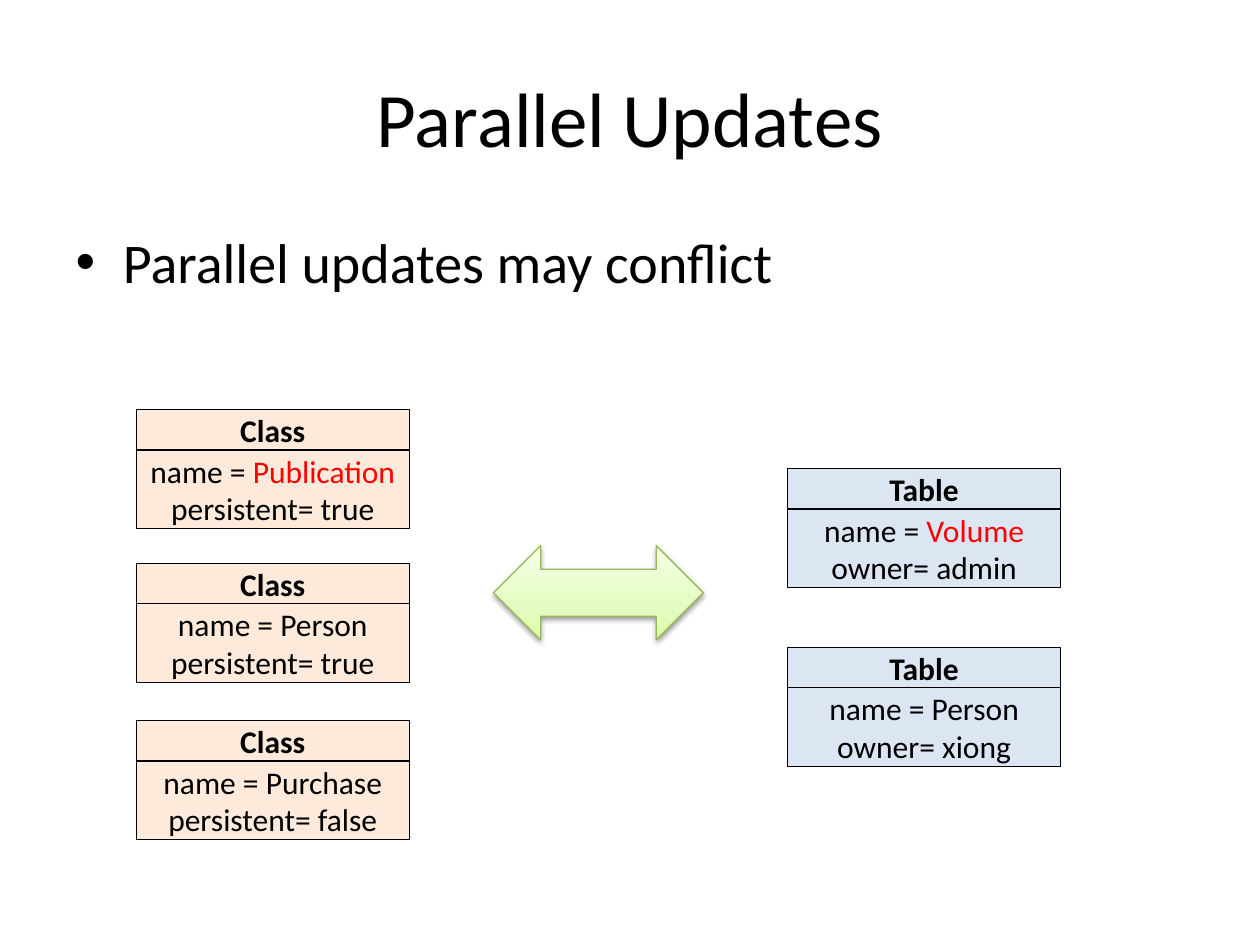
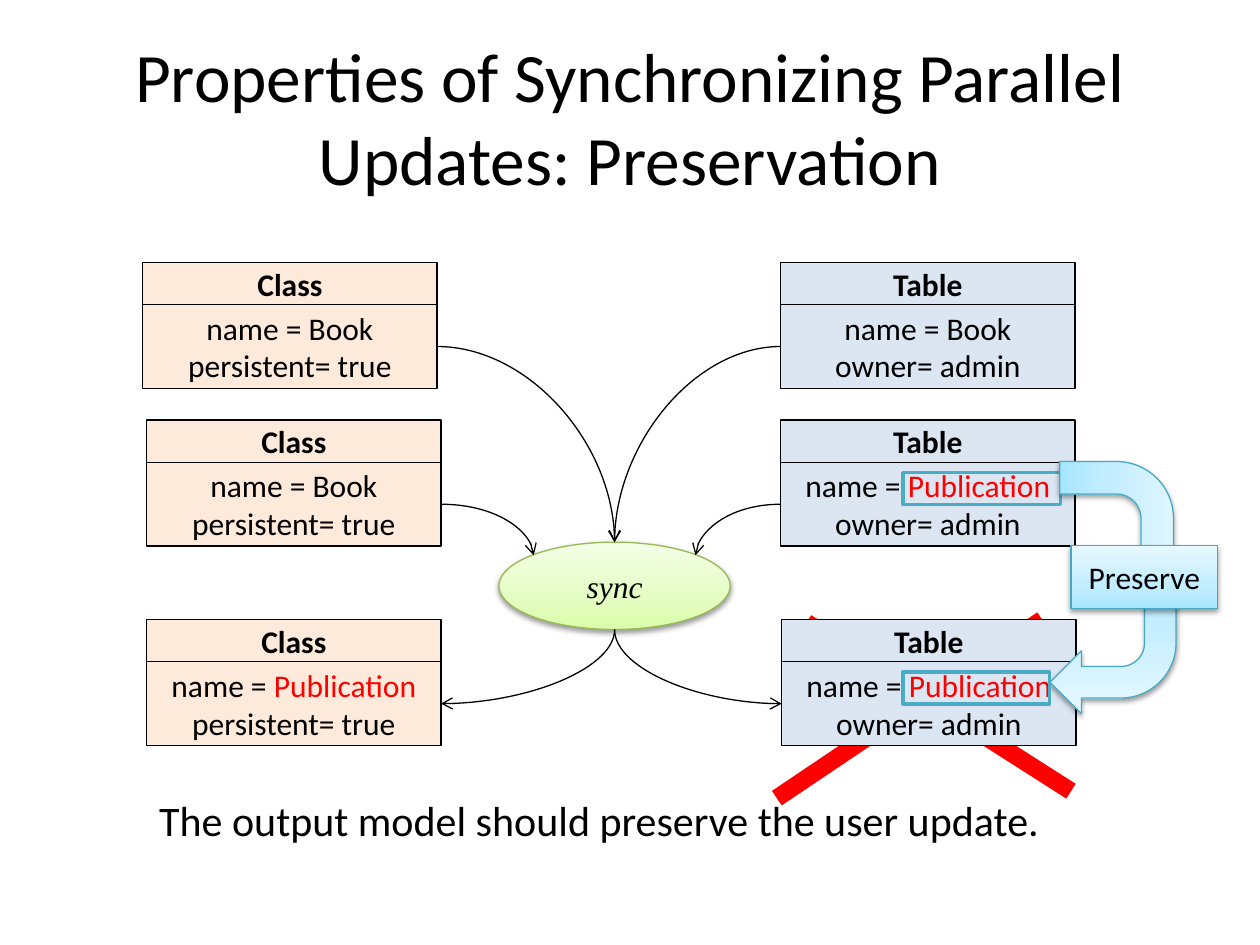
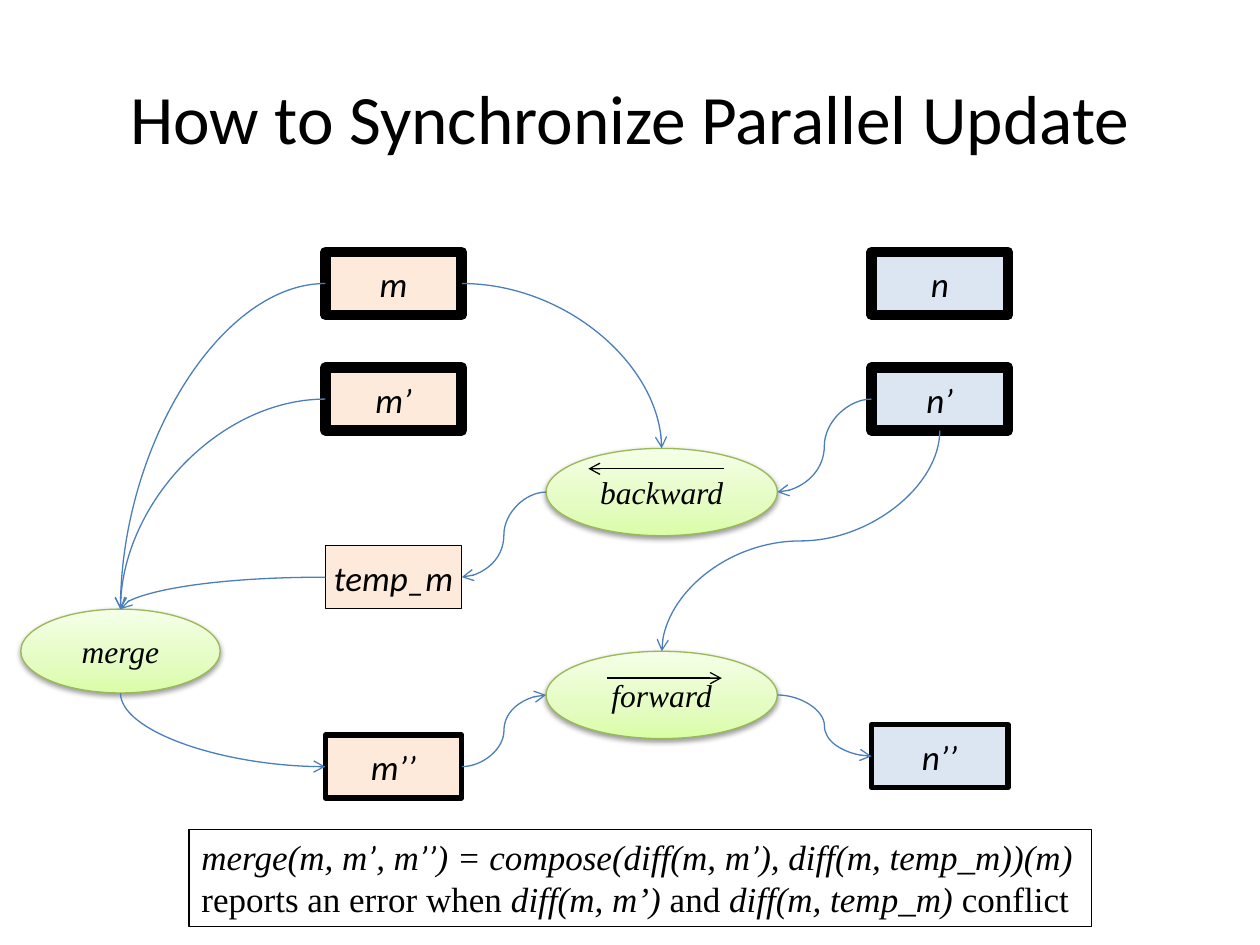
from dataclasses import dataclass
from typing import NamedTuple

from lxml import etree
from pptx import Presentation
from pptx import util as u
from pptx.dml.color import RGBColor
from pptx.enum import shapes, text
from pptx.oxml import ns

BLACK = RGBColor(0x00, 0x00, 0x00)
RED = RGBColor(0xFF, 0x00, 0x00)
PEACH = RGBColor(0xFD, 0xEA, 0xDA)
PALE_BLUE = RGBColor(0xDC, 0xE6, 0xF2)
FLOW_BLUE = RGBColor(0x4B, 0x7E, 0xBC)
FRAME_BLUE = RGBColor(0x4B, 0xAC, 0xC6)
SANS = "Calibri"
SERIF = "Times New Roman"
KIND = shapes.MSO_SHAPE
CURVE = shapes.MSO_CONNECTOR.CURVE
STRAIGHT = shapes.MSO_CONNECTOR.STRAIGHT
CENTER = text.PP_ALIGN.CENTER
LEFT = text.PP_ALIGN.LEFT


class Box(NamedTuple):
    left: float
    top: float
    width: float
    height: float

    def lengths(self):
        return [u.Cm(value) for value in self]


class Point(NamedTuple):
    x: int
    y: int


class Span(NamedTuple):
    text: str
    size: float = 18
    font: str = SANS
    color: RGBColor = BLACK
    bold: bool = False
    italic: bool = False


class Glow(NamedTuple):
    stops: tuple
    line: RGBColor


class Entity(NamedTuple):
    title: str
    attribute: str
    fill: RGBColor


class CardSize(NamedTuple):
    width: float
    head: float
    body: float


@dataclass
class Card:
    entity: Entity
    left: float
    top: float
    name: str
    value: str
    changed: bool = False


GREEN_GLOW = Glow(((0, "DAFDA7"), (35, "E4FCC2"), (100, "F5FFE7")), RGBColor(0x98, 0xB9, 0x55))
BLUE_GLOW = Glow(((0, "A7E6FF"), (35, "C1EDFF"), (100, "E7F8FF")), RGBColor(0x46, 0xAA, 0xC5))
CLASS = Entity("Class", "persistent", PEACH)
TABLE = Entity("Table", "owner", PALE_BLUE)


def cm_point(x: float, y: float) -> Point:
    return Point(u.Cm(x), u.Cm(y))


def site(shape, across: float, down: float) -> Point:
    return Point(int(shape.left + shape.width * across), int(shape.top + shape.height * down))


def child(parent, tag: str, **attributes):
    return etree.SubElement(parent, ns.qn(tag), attributes)


def style_span(run, span: Span) -> None:
    run.font.size = u.Pt(span.size)
    run.font.name = span.font
    run.font.color.rgb = span.color
    run.font.bold = span.bold
    run.font.italic = span.italic


def write(frame, lines: list, align=CENTER, wrap: bool = False) -> None:
    frame.word_wrap = wrap
    for index, line in enumerate(lines):
        para = frame.add_paragraph() if index else frame.paragraphs[0]
        para.alignment = align
        for span in line:
            run = para.add_run()
            run.text = span.text
            style_span(run, span)


def add_page(deck, layout: int, title: str, size: float):
    page = deck.slides.add_slide(deck.slide_layouts[layout])
    heading = page.shapes.title
    heading.left, heading.top, heading.width, heading.height = Box(1.27, 0.76, 22.86, 3.18).lengths()
    frame = heading.text_frame
    frame.text = title
    frame.auto_size = text.MSO_AUTO_SIZE.NONE
    frame.vertical_anchor = text.MSO_ANCHOR.MIDDLE
    frame.paragraphs[0].alignment = CENTER
    style_span(frame.paragraphs[0].runs[0], Span(title, size))
    return page


def add_block(owner, box: Box, fill=None, line=BLACK, weight: float = 0.75, lines=(), kind=KIND.RECTANGLE):
    shape = owner.shapes.add_shape(kind, *box.lengths())
    shape.shadow.inherit = False
    if fill is None:
        shape.fill.background()
    else:
        shape.fill.solid()
        shape.fill.fore_color.rgb = fill
    shape.line.color.rgb = line
    shape.line.width = u.Pt(weight)
    shape.text_frame.vertical_anchor = text.MSO_ANCHOR.MIDDLE
    write(shape.text_frame, lines)
    return shape


def add_glowing(page, kind, box: Box, glow: Glow, lines=()):
    shape = add_block(page, box, line=glow.line, lines=lines, kind=kind)
    shape.fill.gradient()
    shape.fill.gradient_angle = 90
    properties = shape.element.spPr
    stops = properties.find(".//" + ns.qn("a:gsLst"))
    for stop in list(stops):
        stops.remove(stop)
    for position, color in glow.stops:
        child(child(stops, "a:gs", pos=str(position * 1000)), "a:srgbClr", val=color)
    effects = properties.find(ns.qn("a:effectLst"))
    shadow = child(effects, "a:outerShdw", blurRad="40000", dist="20000", dir="5400000", rotWithShape="0")
    child(child(shadow, "a:srgbClr", val="000000"), "a:alpha", val="38000")
    return shape


def add_bent_arrow(page, box: Box, rotation: float = 0) -> None:
    arrow = add_glowing(page, KIND.BENT_ARROW, box, BLUE_GLOW)
    arrow.rotation = rotation
    frame = arrow.element.spPr.find(ns.qn("a:xfrm"))
    frame.set("flipH", "1")
    frame.set("flipV", "1")


def add_operation(page, box: Box, name: str):
    return add_glowing(page, KIND.OVAL, box, GREEN_GLOW, [[Span(name, font=SERIF, italic=True)]])


def add_card(page, card: Card, size: CardSize):
    group = page.shapes.add_group_shape()
    entity = card.entity
    add_block(group, Box(card.left, card.top, size.width, size.head), entity.fill,
              lines=[[Span(entity.title, bold=True)]])
    name = [Span("name = "), Span(card.name, color=RED)] if card.changed else [Span(f"name = {card.name}")]
    return add_block(group, Box(card.left, card.top + size.head, size.width, size.body), entity.fill,
                     lines=[name, [Span(f"{entity.attribute}= {card.value}")]])


def add_line(page, start: Point, end: Point, color=BLACK, weight: float = 0.75, kind=STRAIGHT, arrow: bool = True):
    line = page.shapes.add_connector(kind, *start, *end)
    line.line.color.rgb = color
    line.line.width = u.Pt(weight)
    properties = line.element.spPr
    if arrow:
        child(properties.find(ns.qn("a:ln")), "a:tailEnd", type="arrow")
    child(properties, "a:effectLst")
    return line


def add_curve(page, start: Point, end: Point, color=BLACK, bends: int = 1, downward: bool = False) -> None:
    if downward:
        middle_x, middle_y = (start.x + end.x) // 2, (start.y + end.y) // 2
        half_x, half_y = (end.x - start.x) // 2, (end.y - start.y) // 2
        start = Point(middle_x - half_y, middle_y + half_x)
        end = Point(middle_x + half_y, middle_y - half_x)
    properties = add_line(page, start, end, color, kind=CURVE).element.spPr
    properties.find(ns.qn("a:prstGeom")).set("prst", f"curvedConnector{bends + 1}")
    if downward:
        properties.find(ns.qn("a:xfrm")).set("rot", "5400000")


def build_conflict(deck) -> None:
    page = add_page(deck, 1, "Parallel Updates", 44)
    body = page.placeholders[1]
    body.left, body.top, body.width, body.height = Box(1.27, 4.45, 22.86, 12.57).lengths()
    body.text_frame.text = "Parallel updates may conflict"
    style_span(body.text_frame.paragraphs[0].runs[0], Span("", 32))

    size = CardSize(5.5, 0.81, 1.59)
    for card in (
        Card(CLASS, 2.75, 8.26, "Publication", "true", True),
        Card(CLASS, 2.75, 11.36, "Person", "true"),
        Card(CLASS, 2.75, 14.53, "Purchase", "false"),
        Card(TABLE, 15.88, 9.45, "Volume", "admin", True),
        Card(TABLE, 15.88, 13.05, "Person", "xiong"),
    ):
        add_card(page, card, size)
    add_glowing(page, KIND.LEFT_RIGHT_ARROW, Box(9.95, 11, 4.23, 1.9), GREEN_GLOW)


def build_preservation(deck) -> None:
    page = add_page(deck, 5, "Properties of Synchronizing Parallel Updates: Preservation", 39.6)
    size = CardSize(5.93, 0.85, 1.69)
    first_class, second_class, merged_class, first_table, second_table = [
        add_card(page, card, size)
        for card in (
            Card(CLASS, 2.88, 5.29, "Book", "true"),
            Card(CLASS, 2.96, 8.47, "Book", "true"),
            Card(CLASS, 2.96, 12.49, "Publication", "true", True),
            Card(TABLE, 15.74, 5.29, "Book", "admin"),
            Card(TABLE, 15.74, 8.47, "Publication", "admin", True),
        )
    ]
    add_line(page, cm_point(21.01, 12.49), cm_point(15.66, 16.09), RED, 10, arrow=False)
    add_line(page, cm_point(16.26, 12.55), cm_point(21.59, 15.95), RED, 10, arrow=False)
    merged_table = add_card(page, Card(TABLE, 15.76, 12.49, "Publication", "admin", True), size)

    add_block(page, Box(18.2, 9.53, 3.18, 0.64), line=FRAME_BLUE, weight=2)
    add_bent_arrow(page, Box(21.3, 9.37, 2.75, 2.62), 270)
    add_bent_arrow(page, Box(21.17, 11.43, 2.54, 2.96))
    add_glowing(page, KIND.RECTANGLE, Box(21.59, 11, 2.96, 1.27), BLUE_GLOW, [[Span("Preserve")]])
    add_block(page, Box(18.2, 13.55, 2.96, 0.64), line=FRAME_BLUE, weight=2)

    note = page.shapes.add_textbox(*Box(2.96, 15.9, 19.69, 1.28).lengths())
    write(note.text_frame, [[Span("The output model should preserve the user update.", 24)]], LEFT, True)

    sync = add_operation(page, Box(10.06, 10.93, 4.66, 1.76), "sync")
    top, bottom = site(sync, 0.5, 0), site(sync, 0.5, 1)
    add_curve(page, site(first_class, 1, 0.5), top)
    add_curve(page, site(first_table, 0, 0.5), top)
    add_curve(page, site(second_table, 0, 0.5), site(sync, 0.85, 0.15))
    add_curve(page, site(second_class, 1, 0.5), site(sync, 0.15, 0.15))
    add_curve(page, bottom, site(merged_class, 1, 0.5), downward=True)
    add_curve(page, bottom, site(merged_table, 0, 0.5), downward=True)


def build_algorithm(deck) -> None:
    page = add_page(deck, 5, "How to Synchronize Parallel Update", 39.6)

    def add_model(name: str, left: float, top: float, fill: RGBColor, weight: float):
        return add_block(page, Box(left, top, 2.75, 1.27), fill, weight=weight,
                         lines=[[Span(name, 20, italic=True)]])

    source_x, target_x = 6.56, 17.57
    source = add_model("m", source_x, 5.08, PEACH, 6)
    add_model("n", target_x, 5.08, PALE_BLUE, 6)
    source_update = add_model("m’", source_x, 7.41, PEACH, 6)
    target_update = add_model("n’", target_x, 7.41, PALE_BLUE, 6)
    temporary = add_model("temp_m", source_x, 11, PEACH, 0.75)
    source_result = add_model("m’’", source_x, 14.82, PEACH, 3)
    target_result = add_model("n’’", target_x, 14.61, PALE_BLUE, 3)

    merge = add_operation(page, Box(0.42, 12.28, 4.02, 1.69), "merge")
    forward = add_operation(page, Box(11.01, 13.13, 4.66, 1.76), "forward")
    backward = add_operation(page, Box(11.01, 9.04, 4.66, 1.76), "backward")
    add_line(page, cm_point(12.24, 13.67), cm_point(14.55, 13.67))
    add_line(page, cm_point(14.6, 9.45), cm_point(11.86, 9.45))

    for model in (source, source_update, temporary):
        add_curve(page, site(model, 0, 0.5), site(merge, 0.5, 0), FLOW_BLUE)
    add_curve(page, site(source, 1, 0.5), site(backward, 0.5, 0), FLOW_BLUE)
    add_curve(page, site(merge, 0.5, 1), site(source_result, 0, 0.5), FLOW_BLUE, downward=True)
    for start, end in (
        (site(target_update, 0, 0.5), site(backward, 1, 0.5)),
        (site(backward, 0, 0.5), site(temporary, 1, 0.5)),
        (site(source_result, 1, 0.5), site(forward, 0, 0.5)),
        (site(forward, 1, 0.5), site(target_result, 0, 0.5)),
    ):
        add_curve(page, start, end, FLOW_BLUE, 2)
    add_curve(page, site(target_update, 0.5, 1), site(forward, 0.5, 0), FLOW_BLUE, 2, True)

    def formula(words: str, font: str = SERIF) -> Span:
        return Span(words, 20, font, italic=True)

    def plain(words: str) -> Span:
        return Span(words, 20, SERIF)

    definition = page.shapes.add_textbox(*Box(3.81, 16.72, 18.2, 1.96).lengths())
    definition.line.color.rgb = BLACK
    definition.line.width = u.Pt(0.75)
    write(definition.text_frame, [
        [formula("merge(m, m"), formula("’", SANS), formula(", m"), formula("’’", SANS),
         formula(") = compose(diff(m, m"), formula("’", SANS), formula("), diff(m, temp_m))(m)")],
        [plain("reports an error when "), formula("diff(m, m’) "), plain("and "),
         formula("diff(m, temp_m) "), plain("conflict")],
    ], LEFT)
    definition.text_frame.auto_size = text.MSO_AUTO_SIZE.SHAPE_TO_FIT_TEXT


def main() -> None:
    deck = Presentation()
    deck.slide_width, deck.slide_height = u.Cm(25.4), u.Cm(19.05)
    build_conflict(deck)
    build_preservation(deck)
    build_algorithm(deck)
    deck.save("out.pptx")


main()
